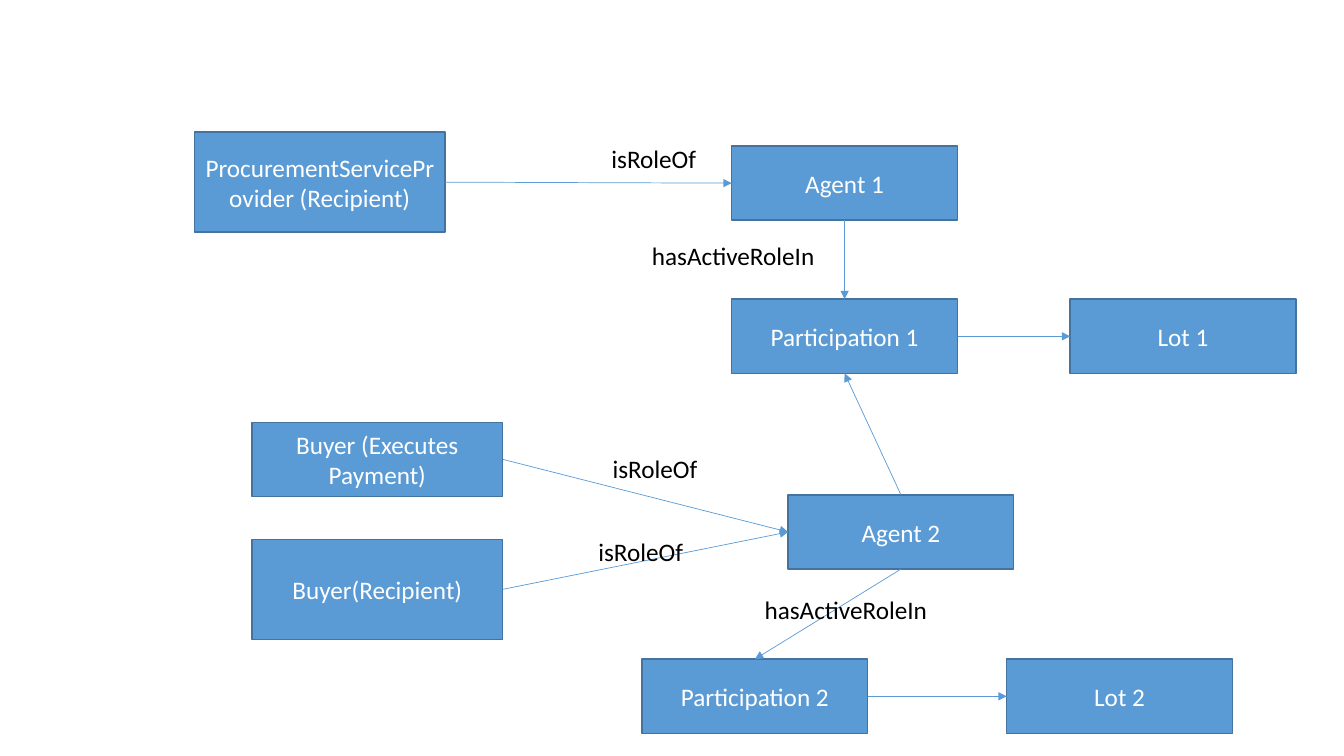
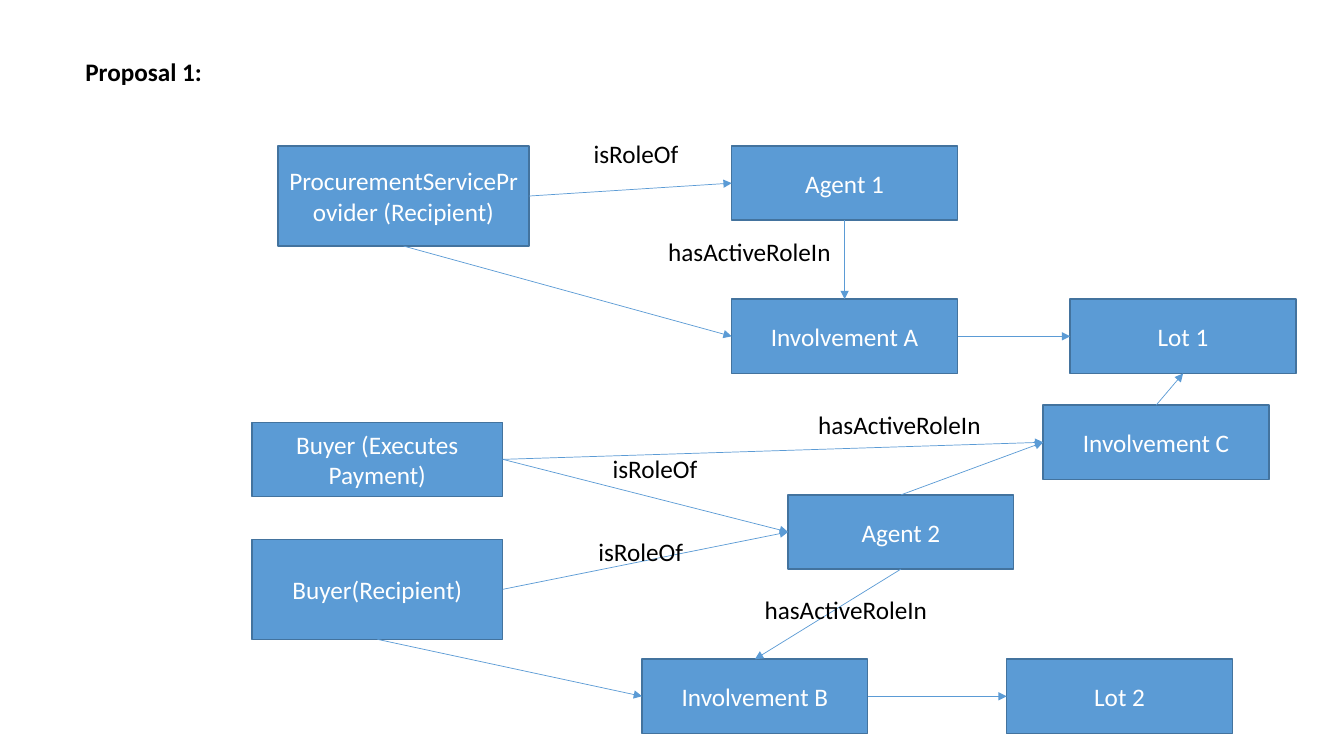
import pptx
import pptx.util
import pptx.dml.color
import pptx.enum.shapes
import pptx.enum.text
import pptx.oxml.ns
import lxml.etree

Cm = pptx.util.Cm
Pt = pptx.util.Pt
RGBColor = pptx.dml.color.RGBColor

BLUE = RGBColor(0x5B, 0x9B, 0xD5)
DARK_BLUE = RGBColor(0x43, 0x73, 0x9E)
WHITE = RGBColor(0xFF, 0xFF, 0xFF)
BLACK = RGBColor(0, 0, 0)
FONT = "Calibri"
TEXT_SIZE = Pt(18)

# Box sizes (width, height) in cm
LARGE = (6.32, 2.52)
WIDE = (6.32, 1.87)
SMALL = (5.69, 1.87)
LABEL_WIDTH, LABEL_HEIGHT = 5.03, 1.03

# Connection sites of a rectangle
TOP, LEFT, BOTTOM, RIGHT = range(4)

# Parts on both slides: key -> (left, top, size)
SHARED_BOXES = {
    "Buyer (Executes Payment)": (6.35, 10.64, WIDE),
    "Buyer(Recipient)": (6.35, 13.59, LARGE),
    "Agent 1": (18.44, 3.68, SMALL),
    "Agent 2": (19.86, 12.47, SMALL),
    "Lot 1": (26.97, 7.54, SMALL),
    "Lot 2": (25.37, 16.61, SMALL),
    "first role": (18.44, 7.54, SMALL),
    "second role": (16.18, 16.61, SMALL),
}
PROVIDER = "ProcurementServiceProvider (Recipient)"
SHARED_ARROWS = [
    (PROVIDER, RIGHT, "Agent 1", LEFT),
    ("Agent 1", BOTTOM, "first role", TOP),
    ("first role", RIGHT, "Lot 1", LEFT),
    ("Buyer (Executes Payment)", RIGHT, "Agent 2", LEFT),
    ("Buyer(Recipient)", RIGHT, "Agent 2", LEFT),
    ("Agent 2", BOTTOM, "second role", TOP),
    ("second role", RIGHT, "Lot 2", LEFT),
]
SHARED_LABELS = [
    ("isRoleOf", 15.19, 11.3),
    ("isRoleOf", 14.83, 13.39),
    ("hasActiveRoleIn", 19.02, 14.86),
]

# What each slide adds
SLIDES = [
    {
        "title": None,
        "names": {"first role": "Participation 1", "second role": "Participation 2"},
        "boxes": {PROVIDER: (4.9, 3.33, LARGE)},
        "arrows": [("Agent 2", TOP, "first role", BOTTOM)],
        "labels": [("isRoleOf", 15.16, 3.48), ("hasActiveRoleIn", 16.18, 5.94)],
    },
    {
        "title": "Proposal 1:",
        "names": {"first role": "Involvement A", "second role": "Involvement B"},
        "boxes": {
            PROVIDER: (7.01, 3.68, LARGE),
            "Involvement C": (26.29, 10.21, SMALL),
        },
        "arrows": [
            (PROVIDER, BOTTOM, "first role", LEFT),
            ("Buyer (Executes Payment)", RIGHT, "Involvement C", LEFT),
            ("Buyer(Recipient)", BOTTOM, "second role", LEFT),
            ("Agent 2", TOP, "Involvement C", LEFT),
            ("Involvement C", TOP, "Lot 1", BOTTOM),
        ],
        "labels": [
            ("isRoleOf", 14.71, 3.35),
            ("hasActiveRoleIn", 16.59, 5.82),
            ("hasActiveRoleIn", 20.37, 10.19),
        ],
    },
]


def write(shape, text, color, bold=False):
    shape.text_frame.word_wrap = True
    para = shape.text_frame.paragraphs[0]
    para.text = text
    para.font.name = FONT
    para.font.size = TEXT_SIZE
    para.font.bold = bold
    para.font.color.rgb = color
    return para


def add_label(page, text, left, top, width=LABEL_WIDTH, bold=False):
    label = page.shapes.add_textbox(Cm(left), Cm(top), Cm(width), Cm(LABEL_HEIGHT))
    write(label, text, BLACK, bold)
    label.text_frame.auto_size = pptx.enum.text.MSO_AUTO_SIZE.SHAPE_TO_FIT_TEXT


deck = pptx.Presentation()
deck.slide_width = Cm(33.87)
deck.slide_height = Cm(19.05)

for content in SLIDES:
    page = deck.slides.add_slide(deck.slide_layouts[6])

    # Boxes
    boxes = {}
    for key, (left, top, (width, height)) in (SHARED_BOXES | content["boxes"]).items():
        box = page.shapes.add_shape(
            pptx.enum.shapes.MSO_SHAPE.RECTANGLE,
            Cm(left), Cm(top), Cm(width), Cm(height))
        box.shadow.inherit = False
        box.fill.solid()
        box.fill.fore_color.rgb = BLUE
        box.line.color.rgb = DARK_BLUE
        box.line.width = Pt(1)
        box.text_frame.vertical_anchor = pptx.enum.text.MSO_ANCHOR.MIDDLE
        para = write(box, content["names"].get(key, key), WHITE)
        para.alignment = pptx.enum.text.PP_ALIGN.CENTER
        boxes[key] = box

    # Arrows, glued to the boxes
    for source, source_site, target, target_site in SHARED_ARROWS + content["arrows"]:
        arrow = page.shapes.add_connector(
            pptx.enum.shapes.MSO_CONNECTOR.STRAIGHT, 0, 0, 0, 0)
        arrow.begin_connect(boxes[source], source_site)
        arrow.end_connect(boxes[target], target_site)
        arrow.line.color.rgb = BLUE
        arrow.line.width = Pt(0.5)
        lxml.etree.SubElement(
            arrow.line._get_or_add_ln(), pptx.oxml.ns.qn("a:tailEnd"), type="triangle")
        lxml.etree.SubElement(arrow._element.spPr, pptx.oxml.ns.qn("a:effectLst"))

    # Labels and title
    for text, left, top in SHARED_LABELS + content["labels"]:
        add_label(page, text, left, top)
    if content["title"]:
        add_label(page, content["title"], 1.9, 1.3, width=10.24, bold=True)

deck.save("out.pptx")
